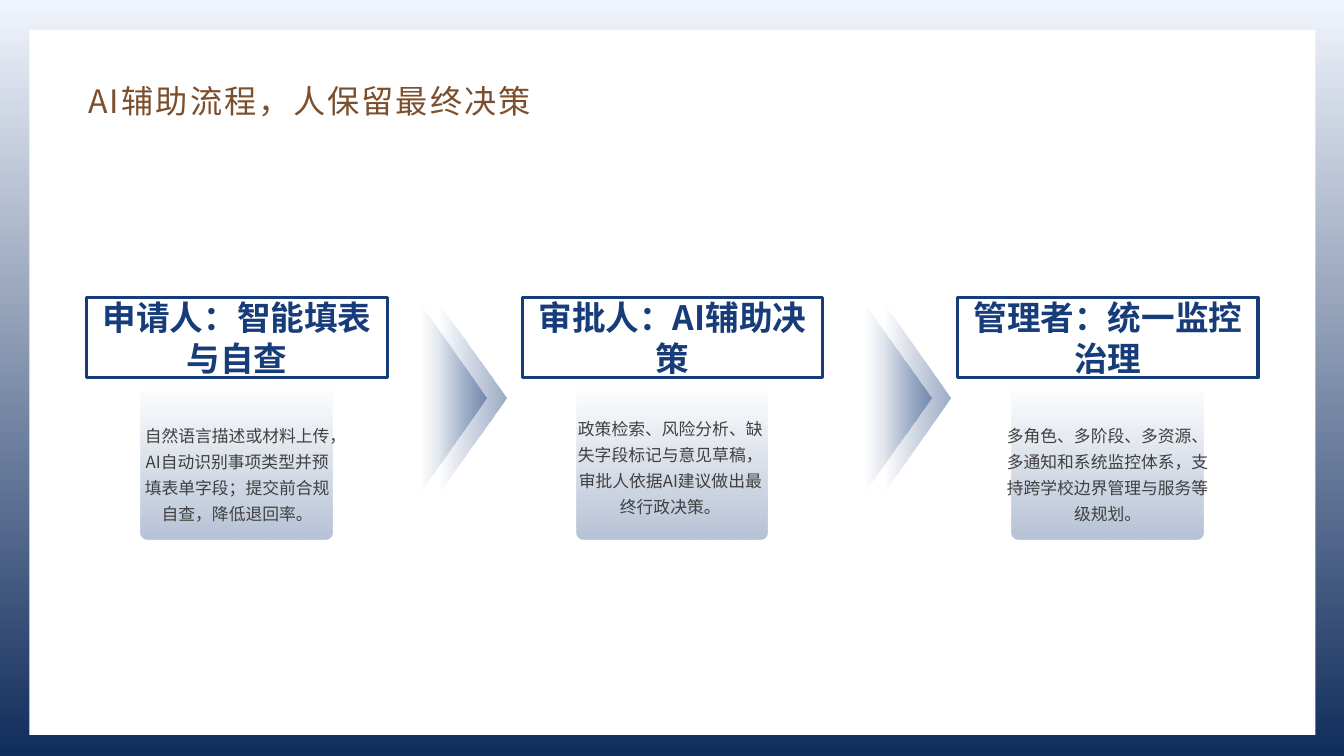
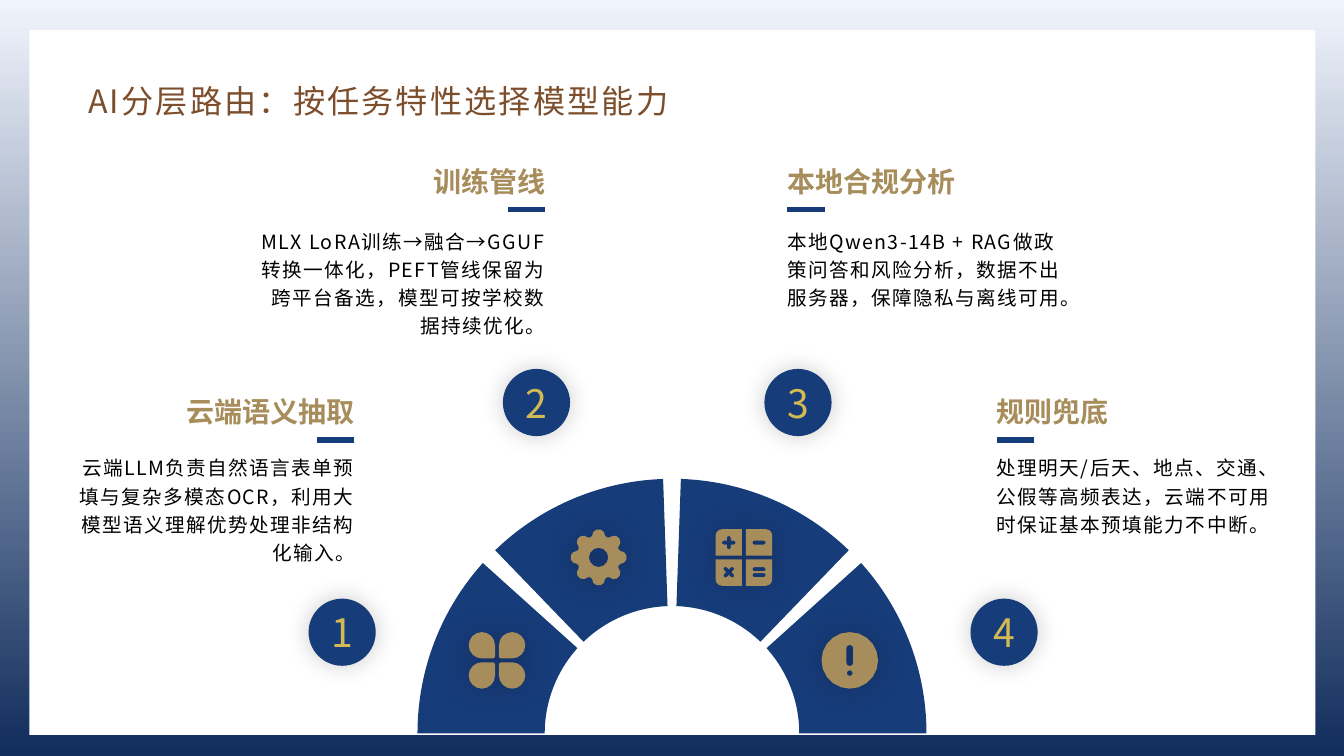
"""Build two slides on AI-assisted approval and layered model routing."""
from math import acos, ceil, cos, degrees, radians, sin

from lxml.etree import SubElement
from pptx import Presentation
from pptx.dml.color import RGBColor
from pptx.enum.lang import MSO_LANGUAGE_ID as Language
from pptx.enum.shapes import MSO_CONNECTOR as Connector, MSO_SHAPE as Shape
from pptx.enum.text import MSO_ANCHOR as Anchor, PP_ALIGN as Align
from pptx.oxml.ns import qn
from pptx.util import Pt

FONT = "Noto Sans CJK SC"
NAVY, GOLD, BROWN, AMBER = "173C7A", "A78D5B", "7C4E2C", "D4BA54"
GREY, BLACK, WHITE = "404040", "000000", "FFFFFF"
PALE, DEEP = "F0F4FC", "112D5C"
CURVE_TOLERANCE = 0.25

STEP_PITCH = 311
STEPS = [
    ("申请人：智能填表与自查",
     "自然语言描述或材料上传，AI自动识别事项类型并预填表单字段；提交前合规自查，降低退回率。",
     91.4, 296, 156.2),
    ("审批人：AI辅助决策",
     "政策检索、风险分析、缺失字段标记与意见草稿，审批人依据AI建议做出最终行政决策。",
     405.4, 291, 146.9),
    ("管理者：统一监控治理",
     "多角色、多阶段、多资源、多通知和系统监控体系，支持跨学校边界管理与服务等级规划。",
     710.6, 296, 161.3),
]
ARROW_CENTERS = (337.7, 655.2)

LAYERS = [
    ("云端语义抽取",
     "云端LLM负责自然语言表单预填与复杂多模态OCR，利用大模型语义理解优势处理非结构化输入。",
     Align.RIGHT, 260.6, 278.6, 319, 214.6, (244.4, 451.6)),
    ("训练管线",
     "MLX LoRA训练→融合→GGUF转换一体化，PEFT管线保留为跨平台备选，模型可按学校数据持续优化。",
     Align.RIGHT, 396.7, 113.8, 157, 221, (383.2, 287.5)),
    ("本地合规分析",
     "本地Qwen3-14B + RAG做政策问答和风险分析，数据不出服务器，保障隐私与离线可用。",
     Align.LEFT, 555.1, 113.8, 157, 214.6, (570, 287.5)),
    ("规则兜底",
     "处理明天/后天、地点、交通、公假等高频表达，云端不可用时保证基本预填能力不中断。",
     Align.LEFT, 704.9, 278.6, 319, 214.6, (717.2, 451.6)),
]


def rgb(value):
    """Turn a hex string into a colour."""
    return RGBColor.from_string(value)


def set_gradient(fill, angle, stops):
    """Give a fill two (position, colour) stops at a clockwise angle."""
    fill.gradient()
    fill.gradient_angle = (360 - angle) % 360
    for stop, (position, color) in zip(fill.gradient_stops, stops):
        stop.position = position
        stop.color.rgb = rgb(color)


def set_stop_alphas(shape, alphas):
    """Set the opacity, in percent, of each gradient stop of a shape."""
    for color, alpha in zip(shape._element.spPr.iter(qn("a:srgbClr")), alphas):
        SubElement(color, qn("a:alpha"), val=str(alpha * 1000))


def set_glow_shadow(shape, blur):
    """Give a shape a faint shadow spread evenly around it."""
    effects = shape._element.spPr.find(qn("a:effectLst"))
    shadow = SubElement(effects, qn("a:outerShdw"), blurRad=str(Pt(blur)),
                        dist="0", dir="0", algn="ctr", rotWithShape="0")
    color = SubElement(shadow, qn("a:srgbClr"), val=BLACK)
    SubElement(color, qn("a:alpha"), val="20000")


def style_shape(shape, fill=None, line=None):
    """Set a plain fill and outline and drop the theme shadow."""
    shape.shadow.inherit = False
    if fill:
        shape.fill.solid()
        shape.fill.fore_color.rgb = rgb(fill)
    else:
        shape.fill.background()
    if line:
        shape.line.color.rgb = rgb(line)
        shape.line.width = Pt(2.25)
    else:
        shape.line.fill.background()
    return shape


def add_shape(page, kind, left, top, width, height, fill=None, line=None):
    """Add a preset shape measured in points."""
    shape = page.shapes.add_shape(kind, Pt(left), Pt(top), Pt(width), Pt(height))
    return style_shape(shape, fill, line)


def write(box, text, size, color, align=Align.LEFT, anchor=Anchor.TOP,
          bold=False, leading=1.0, tracking=0.0):
    """Put one styled paragraph into a shape or text box."""
    frame = box.text_frame
    frame.word_wrap = True
    frame.vertical_anchor = anchor
    para = frame.paragraphs[0]
    para.text = text
    para.alignment = align
    para.line_spacing = leading
    font = para.font
    font.name, font.size, font.bold = FONT, Pt(size), bold
    font.color.rgb = rgb(color)
    font.language_id = Language.SIMPLIFIED_CHINESE
    font._element.set("spc", str(round(tracking * 100)))
    SubElement(font._element, qn("a:ea"), typeface=FONT)


def add_text(page, left, top, width, height, text, size, color, **style):
    """Add a text box with one styled paragraph."""
    box = page.shapes.add_textbox(Pt(left), Pt(top), Pt(width), Pt(height))
    write(box, text, size, color, **style)


def add_page(deck, title):
    """Add a slide with the white panel and its title."""
    page = deck.slides.add_slide(deck.slide_layouts[6])
    add_shape(page, Shape.RECTANGLE, 21, 21.4, 918.5, 503.6, WHITE)
    add_text(page, 56, 46, 650, 43.2, title, 23, BROWN, leading=1.3, tracking=1.5)
    return page


def add_step(page, index, heading, text, text_left, text_top, text_width):
    """Add a framed heading over a fading card with its description."""
    left = 62 + STEP_PITCH * index
    frame = add_shape(page, Shape.RECTANGLE, left, 212.4, 214.6, 57.6, line=NAVY)
    write(frame, heading, 24, NAVY, align=Align.CENTER, anchor=Anchor.MIDDLE, bold=True)
    card = add_shape(page, Shape.ROUNDED_RECTANGLE, left + 50.6, 260.6, 113, 136.8)
    card.rotation = 270
    card.adjustments[0] = 0.05
    set_gradient(card.fill, 180, [(0.05, NAVY), (1, NAVY)])
    set_stop_alphas(card, (0, 31))
    add_text(page, text_left, text_top, text_width, 83, text, 12, GREY,
             align=Align.CENTER, leading=1.3)


def add_arrow(page, center):
    """Add two overlapping fading triangles that point right."""
    for shift in (0, -13.7):
        triangle = add_shape(page, Shape.ISOSCELES_TRIANGLE,
                             center + shift - 67.7, 260.6, 135.4, 47.5)
        triangle.rotation = 90
        set_gradient(triangle.fill, 90, [(0, NAVY), (1, NAVY)])
        set_stop_alphas(triangle, (43, 0))


def polar(x, y, radius, angle):
    """Return the point at a clockwise angle around a centre."""
    return x + radius * cos(radians(angle)), y + radius * sin(radians(angle))


def arc(x, y, radius, start, sweep):
    """Return just enough points along an arc to look smooth."""
    if not radius:
        return [(x, y)]
    count = ceil(sweep / degrees(2 * acos(1 - CURVE_TOLERANCE / radius)))
    return [polar(x, y, radius, start + sweep * step / count)
            for step in range(count + 1)]


def rounded(x, y, width, height, radii):
    """Outline a box centred at x, y; radii run clockwise from top left."""
    points = []
    signs = ((-1, -1), (1, -1), (1, 1), (-1, 1))
    for index, ((across, down), radius) in enumerate(zip(signs, radii)):
        points += arc(x + across * (width / 2 - radius),
                      y + down * (height / 2 - radius), radius, 180 + 90 * index, 90)
    return points


def lobes(x, y, count, distance, radius, valley, turn=0):
    """Outline round-ended arms around a centre, with valleys between them."""
    points = []
    pitch = 360 / count
    for index in range(count):
        angle = turn + pitch * index
        points += arc(*polar(x, y, distance, angle), radius, angle - 90, 180)
        points.append(polar(x, y, valley, angle + pitch / 2))
    return points


def quarters(offset, size, outer, inner, sides):
    """Outline four tiles whose corner nearest the centre is set by inner."""
    places = ((-1, -1), (1, -1), (1, 1), (-1, 1))
    tiles = []
    for index, (across, down) in enumerate(places):
        radii = [sides] * 4
        radii[index], radii[(index + 2) % 4] = outer, inner
        tiles.append(rounded(across * offset, down * offset, size, size, radii))
    return tiles


def clover():
    """Outline four petals."""
    return quarters(10.8, 18.8, 9.4, 1.5, 9.4)


def gear():
    """Outline a gear with a round hole."""
    return [lobes(0, 0, 8, 15.5, 4.6, 15.4), arc(0, 0, 6.9, 0, 360)]


def calculator():
    """Outline four keys with their signs cut out."""
    bars = [rounded(10.8, y, 9.4, 2.9, [1.4] * 4) for y in (-10.6, 8.4, 12.6)]
    plus = lobes(-10.8, -10.6, 4, 3.5, 1.4, 2)
    times = lobes(-10.8, 10.5, 4, 3.5, 1.4, 2, turn=45)
    return quarters(10.8, 18.8, 4.5, 0, 0) + bars + [plus, times]


def alert():
    """Outline a disc with an exclamation mark cut out."""
    return [arc(0, 0, 20.2, 0, 360), rounded(0, -3.5, 4.9, 15, [2.2] * 4),
            arc(0, 9.1, 2.1, 0, 360)]


def add_icon(page, x, y, contours):
    """Draw outlines around a centre as one gold freeform."""
    builder = None
    for contour in contours:
        points = [(Pt(x + across), Pt(y + down)) for across, down in contour]
        if builder is None:
            builder = page.shapes.build_freeform(*points[0])
        else:
            builder.move_to(*points[0])
        builder.add_line_segments(points[1:], close=True)
    set_glow_shadow(style_shape(builder.convert_to_shape(), GOLD), 23)


def add_fan(page):
    """Add four equal arc segments that form a half ring."""
    for index in range(4):
        start = 180 + 46 * index
        segment = add_shape(page, Shape.BLOCK_ARC, 298.2, 342, 363.6, 363.6, NAVY)
        segment.adjustments[0] = start * 0.6
        segment.adjustments[1] = (start + 42) % 360 * 0.6
        segment.adjustments[2] = 0.25


def add_rule(page, start, end, y):
    """Add a short thick line."""
    rule = page.shapes.add_connector(Connector.STRAIGHT, Pt(start), Pt(y), Pt(end), Pt(y))
    rule.line.color.rgb = rgb(NAVY)
    rule.line.width = Pt(4)
    SubElement(rule._element.spPr, qn("a:effectLst"))


def add_layer(page, number, heading, text, align, edge, top, text_top, width, badge):
    """Add a numbered badge and a heading, rule and text aligned to an edge."""
    disc = add_shape(page, Shape.OVAL, badge[0] - 24, badge[1] - 24, 48, 48, NAVY)
    set_glow_shadow(disc, 17)
    write(disc, str(number), 28, AMBER, align=Align.CENTER, anchor=Anchor.MIDDLE)
    inward = -1 if align == Align.RIGHT else 1
    left = edge - width if align == Align.RIGHT else edge
    add_text(page, left, top, width, 31.7, heading, 20, GOLD, align=align, bold=True)
    add_rule(page, edge + 7.4 * inward, edge + 34 * inward, top + 35.8)
    add_text(page, left, text_top, width, 88, text, 14, BLACK,
             align=align, leading=1.2, tracking=1)


def build_process(deck):
    """Build the three-role process slide."""
    page = add_page(deck, "AI辅助流程，人保留最终决策")
    for index, step in enumerate(STEPS):
        add_step(page, index, *step)
    for center in ARROW_CENTERS:
        add_arrow(page, center)


def build_routing(deck):
    """Build the layered routing slide."""
    page = add_page(deck, "AI分层路由：按任务特性选择模型能力")
    add_fan(page)
    add_icon(page, 355, 471.7, clover())
    add_icon(page, 427.6, 398.2, gear())
    add_icon(page, 531.4, 398.2, calculator())
    add_icon(page, 607, 471.7, alert())
    for number, layer in enumerate(LAYERS, 1):
        add_layer(page, number, *layer)


def main():
    """Build and save the deck."""
    deck = Presentation()
    deck.slide_width, deck.slide_height = Pt(960), Pt(540)
    set_gradient(deck.slide_master.background.fill, 90, [(0, PALE), (1, DEEP)])
    build_process(deck)
    build_routing(deck)
    deck.save("out.pptx")


if __name__ == "__main__":
    main()
